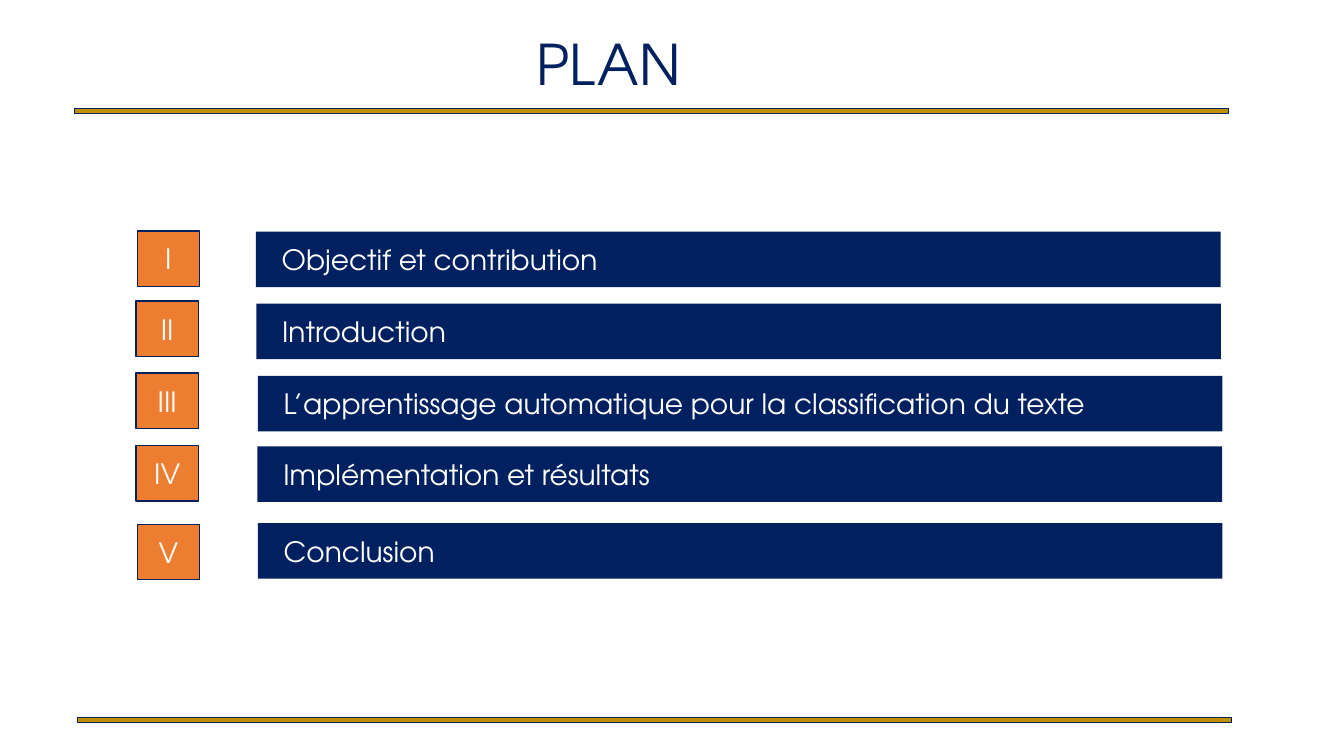
from pptx import Presentation
from pptx.dml.color import RGBColor
from pptx.enum.shapes import MSO_SHAPE
from pptx.enum.text import MSO_ANCHOR, MSO_AUTO_SIZE, PP_ALIGN
from pptx.util import Cm, Pt

NAVY, ORANGE, GOLD, WHITE = "002060", "ED7D31", "BF9000", "FFFFFF"

# numeral, heading, badge left and top, bar left and top (cm)
SECTIONS = [
    ("I", "Objectif et contribution", 3.46, 5.82, 6.45, 5.84),
    ("II", "Introduction", 3.43, 7.59, 6.46, 7.65),
    ("III", "L’apprentissage automatique pour la classification du texte", 3.43, 9.4, 6.5, 9.47),
    ("IV", "Implémentation et résultats", 3.43, 11.23, 6.49, 11.25),
    ("V", "Conclusion", 3.46, 13.21, 6.5, 13.18),
]
ROW_HEIGHT = 1.4


def color(code):
    return RGBColor.from_string(code)


class PlanSlide:
    """Draws the elements of the plan in one shared style."""

    font = "TeX Gyre Adventor"

    def __init__(self, deck):
        self.page = deck.slides.add_slide(deck.slide_layouts[5])

    def add_label(self, shape, text, size, code, align, inset=0.25):
        frame = shape.text_frame
        frame.word_wrap = True
        frame.auto_size = MSO_AUTO_SIZE.NONE
        frame.vertical_anchor = MSO_ANCHOR.MIDDLE
        frame.margin_left = Cm(inset)
        para = frame.paragraphs[0]
        para.alignment = align
        span = para.add_run()
        span.text = text
        span.font.name = self.font
        span.font.size = Pt(size)
        span.font.color.rgb = color(code)

    def title(self, text, left, top, width, height):
        box = self.page.shapes.title
        box.left, box.top, box.width, box.height = Cm(left), Cm(top), Cm(width), Cm(height)
        self.add_label(box, text, 40, NAVY, PP_ALIGN.CENTER)

    def rectangle(self, left, top, width, height, fill, line_width=0):
        box = self.page.shapes.add_shape(
            MSO_SHAPE.RECTANGLE, Cm(left), Cm(top), Cm(width), Cm(height))
        box.shadow.inherit = False
        box.fill.solid()
        box.fill.fore_color.rgb = color(fill)
        if line_width:
            box.line.color.rgb = color(NAVY)
            box.line.width = Pt(line_width)
        else:
            box.line.fill.background()
        return box

    def rule(self, left, top):
        self.rectangle(left, top, 29.08, 0.13, GOLD, 0.25)

    def badge(self, numeral, left, top):
        box = self.rectangle(left, top, 1.57, ROW_HEIGHT, ORANGE, 1)
        self.add_label(box, numeral, 20, WHITE, PP_ALIGN.CENTER)

    def bar(self, heading, left, top):
        box = self.rectangle(left, top, 24.31, ROW_HEIGHT, NAVY)
        self.add_label(box, heading, 20, WHITE, PP_ALIGN.LEFT, 0.65)


def main():
    deck = Presentation()
    deck.slide_width, deck.slide_height = Cm(33.87), Cm(19.05)
    plan = PlanSlide(deck)
    plan.title("PLAN", 11.63, 0.76, 7.42, 1.68)
    plan.rule(1.88, 2.73)
    for numeral, heading, badge_left, badge_top, bar_left, bar_top in SECTIONS:
        plan.badge(numeral, badge_left, badge_top)
        plan.bar(heading, bar_left, bar_top)
    plan.rule(1.95, 18.07)
    deck.save("out.pptx")


if __name__ == "__main__":
    main()
